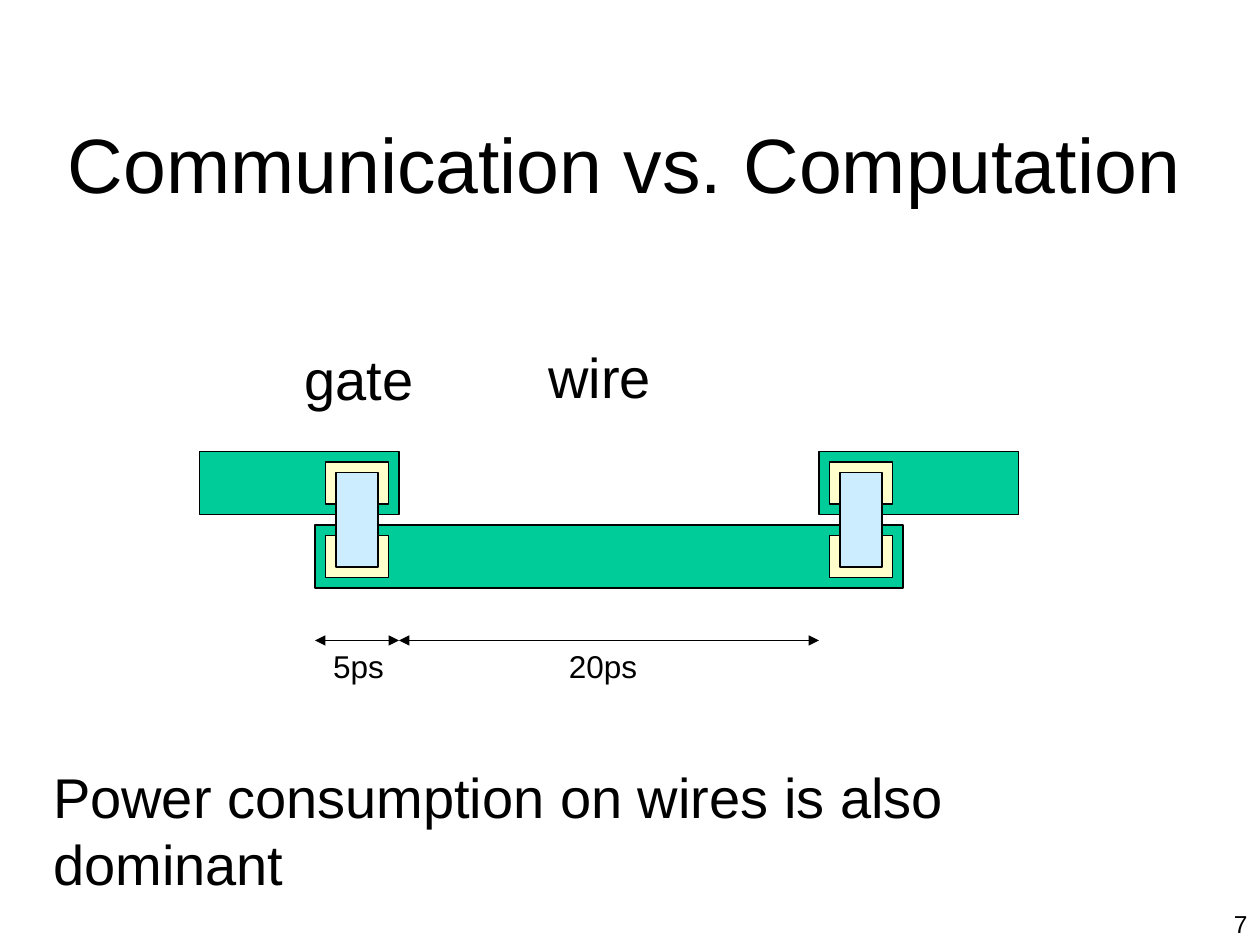
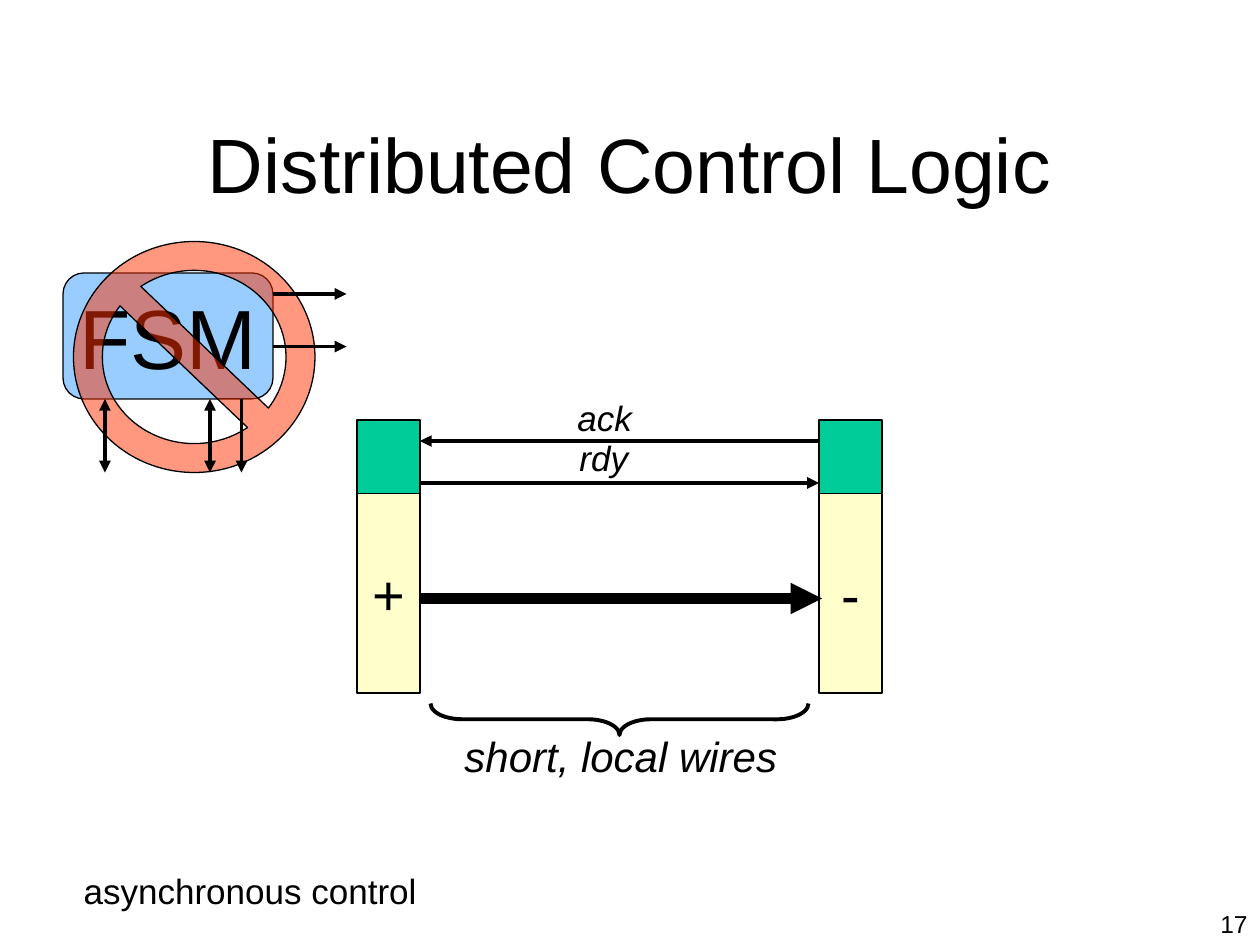
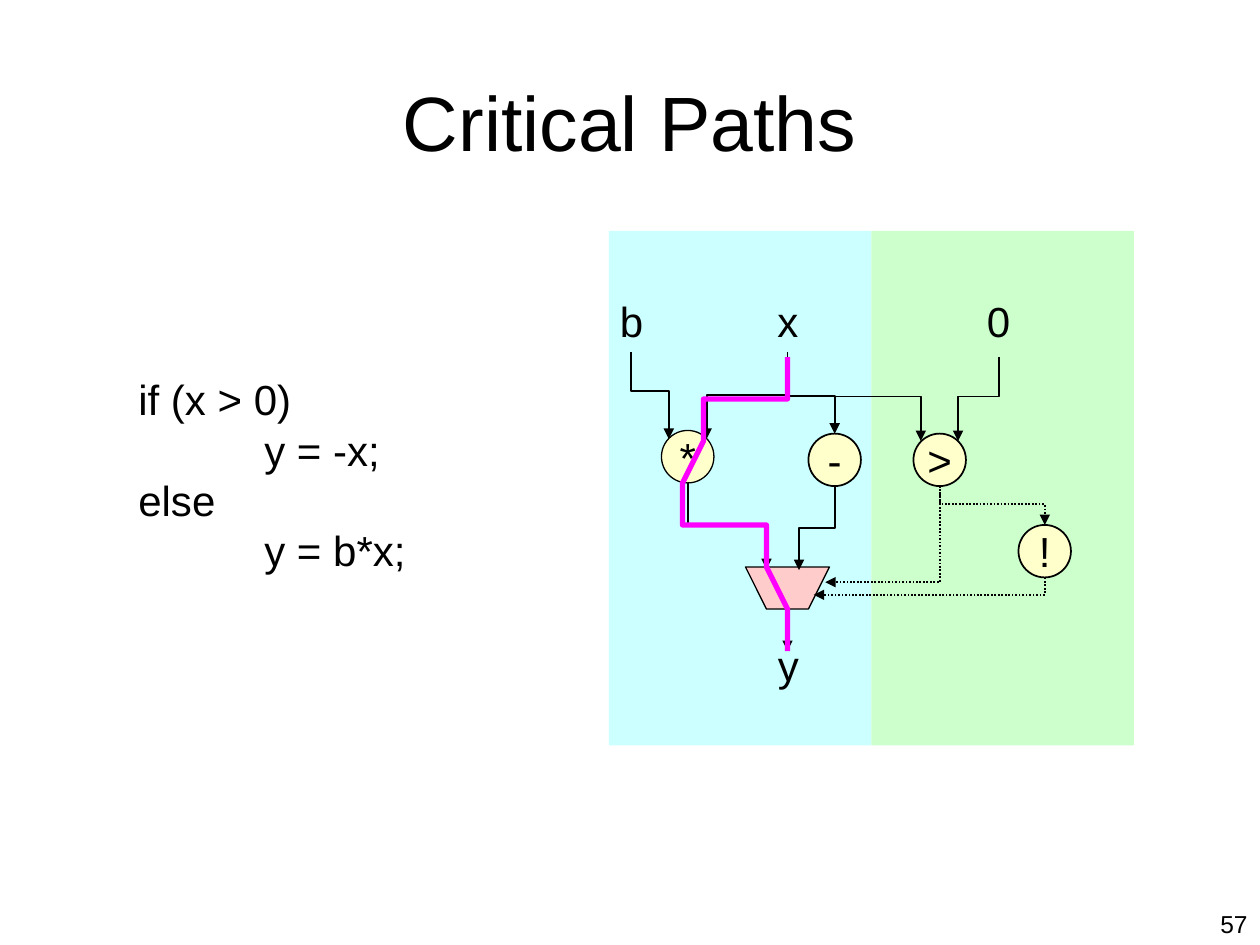
"""Build three slides on communication, distributed control and critical paths."""
from lxml import etree
from pptx import Presentation
from pptx import util as u
from pptx.dml.color import RGBColor
from pptx.enum import dml, shapes, text
from pptx.oxml.ns import qn

STEP_CM = 2.54 / 12
FONT = "Arial"
BLACK, GREEN, CREAM, SKY = "000000", "00CC99", "FFFFCC", "CCECFF"
BLUE, RED, PINK, MAGENTA = "99CCFF", "FF3300", "FFCCCC", "FF00FF"
AQUA, MINT = "CCFFFF", "CCFFCC"
RECT = shapes.MSO_SHAPE.RECTANGLE
LEFT, CENTER, RIGHT = text.PP_ALIGN.LEFT, text.PP_ALIGN.CENTER, text.PP_ALIGN.RIGHT

WIRES = [(19, 43, 19, 6), (30, 50, 56, 6), (78, 43, 19, 6)]
GATE_LEFTS = [31, 79]
DELAYS = [(30, 38), (38, 78)]
DELAY_TOP = 61
GATE_LABELS = [
    ("5ps", (30.55, 61, 7.2, 4.8), dict(size=18, align=CENTER)),
    ("20ps", (53, 61, 9.5, 4.8), dict(size=18)),
    ("gate", (27.8, 32.2, 14, 7.7), dict(size=32)),
    ("wire", (51.05, 32, 14, 7.7), dict(size=32)),
    ("Power consumption on wires is also dominant", (3.88, 72, 109, 7.7),
     dict(size=32, wrap=True)),
]

STAGES = [("+", 34), ("-", 78)]
HANDSHAKES = [((78, 42), (40, 42), 2.25), ((40, 46), (78, 46), 2.25),
              ((40, 57), (78.3, 57), 6)]
FSM_ARROWS = [((26, 28), (33, 28), False), ((26, 33), (33, 33), False),
              ((23, 38), (23, 45), False), ((20, 38), (20, 45), True),
              ((10, 38), (10, 45), True)]
CONTROL_LABELS = [
    ("ack", (53.8, 37.2, 9, 5.3), dict(size=20, italic=True)),
    ("rdy", (54, 41, 9, 5.3), dict(size=20, italic=True)),
    ("asynchronous control", (6.78, 82.2, 36, 5.3), dict(size=20)),
    ("short, local wires", (43.05, 69, 34, 6), dict(size=24, italic=True)),
]

PANELS = [(58, AQUA), (83, MINT)]
OPERATORS = [("*", 63, 41, 0.75), ("-", 77, 41.3, 1), (">", 87, 41.3, 1), ("!", 97, 50, 1)]
MUX = [(71, 54), (79, 54), (77, 58), (73, 58)]
CRITICAL_PATH = [(75, 34), (75, 38), (67, 38), (67, 42), (65, 46),
                 (65, 50), (73, 50), (73, 54), (75, 58), (75, 62)]
DATA_EDGES = [
    ((75, 33.5), (67.3, 41.8), 0.5), ((60.1, 33.5), (63.7, 41.8), 0.45),
    ((65.5, 46), (73, 54.2), 0.5), ((75, 34), (79.5, 41.3), 0.51),
    ((75, 34), (87.7, 42), 0.47), ((95.15, 34), (91.25, 42), 0.47),
    ((79.5, 46.3), (76.1, 54.3), 0.5),
]
PREDICATE_EDGES = [((89.5, 46.2), (99.5, 50), 0.48), ((99.5, 55), (77.5, 56.65), None),
                   ((89.5, 46.3), (78.6, 55.45), None)]
CIRCUIT_LABELS = [
    ("x", (72.85, 27.55, 4.5, 6), dict(size=24)),
    ("b", (57.85, 27.55, 4.8, 6), dict(size=24)),
    ("0", (92.8, 27.55, 4.8, 6), dict(size=24)),
    ("y", (72.9, 62, 4.5, 4.1), dict(size=24, line_spacing=0.6)),
    ("if (x > 0)\n\ty = -x;\nelse\n\ty = b*x;", (12, 35, 30, 20.4),
     dict(size=24, tab=12)),
]


def steps(*counts):
    return [u.Cm(count * STEP_CM) for count in counts]


def color(value):
    return RGBColor.from_string(value)


def write(shape, content, size, align=LEFT, italic=False, wrap=False,
          middle=False, line_spacing=None, tab=None):
    frame = shape.text_frame
    anchor = text.MSO_ANCHOR.MIDDLE if middle else text.MSO_ANCHOR.TOP
    frame_format = dict(word_wrap=wrap, vertical_anchor=anchor)
    for name, value in frame_format.items():
        setattr(frame, name, value)
    for index, line in enumerate(content.split("\n")):
        paragraph = frame.add_paragraph() if index else frame.paragraphs[0]
        paragraph.alignment = align
        if line_spacing:
            paragraph.line_spacing = line_spacing
        if tab:
            stops = etree.SubElement(paragraph._p.get_or_add_pPr(), qn("a:tabLst"))
            etree.SubElement(stops, qn("a:tab"), pos=str(steps(tab)[0]), algn="l")
        run = paragraph.add_run()
        run.text = line
        font_format = dict(name=FONT, size=u.Pt(size), italic=italic)
        for name, value in font_format.items():
            setattr(run.font, name, value)
        run.font.color.rgb = color(BLACK)


def add_label(slide, content, box, **style):
    write(slide.shapes.add_textbox(*steps(*box)), content, **style)


def paint(shape, fill=None, line=BLACK, width=0.75):
    shape.shadow.inherit = False
    if fill:
        shape.fill.solid()
        shape.fill.fore_color.rgb = color(fill)
    else:
        shape.fill.background()
    if line:
        shape.line.color.rgb = color(line)
        shape.line.width = u.Pt(width)
    else:
        shape.line.fill.background()
    return shape


def add_block(slide, kind, box, **look):
    return paint(slide.shapes.add_shape(kind, *steps(*box)), **look)


def add_outline(slide, points, close, **look):
    corners = [steps(*point) for point in points]
    builder = slide.shapes.build_freeform(*corners[0], scale=1.0)
    builder.add_line_segments(corners[1:], close=close)
    return paint(builder.convert_to_shape(), **look)


def finish_arrow(connector, width, double=False, dotted=False):
    connector.line.color.rgb = color(BLACK)
    connector.line.width = u.Pt(width)
    if dotted:
        connector.line.dash_style = dml.MSO_LINE.ROUND_DOT
    properties = connector._element.spPr
    line = properties.find(qn("a:ln"))
    for end in ("a:headEnd", "a:tailEnd") if double else ("a:tailEnd",):
        etree.SubElement(line, qn(end), type="triangle")
    etree.SubElement(properties, qn("a:effectLst"))


def add_arrow(slide, start, end, width=0.75, double=False):
    connector = slide.shapes.add_connector(
        shapes.MSO_CONNECTOR.STRAIGHT, *steps(*start, *end))
    finish_arrow(connector, width, double)


def add_elbow(slide, start, end, bend, dotted=False):
    (x1, y1), (x2, y2) = start, end
    center_x, center_y = (x1 + x2) / 2, (y1 + y2) / 2
    rightward = x2 > x1
    reach = (y1 - y2 if rightward else y2 - y1) / 2
    rise = abs(x2 - x1) / 2
    connector = slide.shapes.add_connector(
        shapes.MSO_CONNECTOR.ELBOW,
        *steps(center_x - reach, center_y - rise, center_x + reach, center_y + rise))
    properties = connector._element.spPr
    properties.find(qn("a:xfrm")).set("rot", str((270 if rightward else 90) * 60000))
    geometry = properties.find(qn("a:prstGeom"))
    if bend is None:
        geometry.set("prst", "bentConnector2")
    else:
        guides = geometry.find(qn("a:avLst"))
        etree.SubElement(guides, qn("a:gd"), name="adj1", fmla=f"val {round(bend * 100000)}")
    finish_arrow(connector, 1, dotted=dotted)


def start_slide(presentation, title, number, left=9, width=102, height=15):
    slide = presentation.slides.add_slide(presentation.slide_layouts[6])
    add_label(slide, title, (left, 8, width, height),
              size=44, align=CENTER, wrap=True, middle=True)
    add_label(slide, number, (114, 86, 6, 4), size=14, align=RIGHT, wrap=True)
    return slide


def add_labels(slide, labels):
    for content, box, style in labels:
        add_label(slide, content, box, **style)


def build_communication(presentation):
    slide = start_slide(presentation, "Communication vs. Computation", "7", 5, 109)
    for box in WIRES:
        add_block(slide, RECT, box, fill=GREEN)
    for left in GATE_LEFTS:
        for top in (51, 44):
            add_block(slide, RECT, (left, top, 6, 4), fill=CREAM)
        add_block(slide, RECT, (left + 1, 45, 4, 9), fill=SKY)
    for start, end in DELAYS:
        add_arrow(slide, (start, DELAY_TOP), (end, DELAY_TOP), double=True)
    add_labels(slide, GATE_LABELS)


def build_control(presentation):
    slide = start_slide(presentation, "Distributed Control Logic", "17")
    for symbol, left in STAGES:
        stage = add_block(slide, RECT, (left, 47, 6, 19), fill=CREAM)
        write(stage, symbol, 32, align=CENTER, middle=True)
        add_block(slide, RECT, (left, 40, 6, 7), fill=GREEN)
    for start, end, width in HANDSHAKES:
        add_arrow(slide, start, end, width)
    machine = add_block(slide, shapes.MSO_SHAPE.ROUNDED_RECTANGLE, (6, 26, 20, 12), fill=BLUE)
    write(machine, "FSM", 48, align=CENTER, middle=True)
    ban = add_block(slide, shapes.MSO_SHAPE.NO_SYMBOL, (7, 23, 23, 22), fill=RED)
    ban.adjustments[0] = 0.125
    tint = ban._element.spPr.find(qn("a:solidFill")).find(qn("a:srgbClr"))
    etree.SubElement(tint, qn("a:alpha"), val="50000")
    for start, end, double in FSM_ARROWS:
        add_arrow(slide, start, end, 2.25, double)
    brace = add_block(slide, shapes.MSO_SHAPE.RIGHT_BRACE, (57.5, 50.5, 3, 36), width=2.25)
    brace.rotation = 90
    brace.adjustments[0] = 1.0
    add_labels(slide, CONTROL_LABELS)


def build_paths(presentation):
    slide = start_slide(presentation, "Critical Paths", "57", height=7)
    for left, fill in PANELS:
        add_block(slide, RECT, (left, 22, 25, 49), fill=fill, line=None)
    add_outline(slide, MUX, True, fill=PINK)
    for symbol, left, top, width in OPERATORS:
        node = add_block(slide, shapes.MSO_SHAPE.OVAL, (left, top, 5, 5),
                         fill=CREAM, width=width)
        write(node, symbol, 24, align=CENTER, middle=True)
    for start, end, bend in DATA_EDGES:
        add_elbow(slide, start, end, bend)
    for start, end, bend in PREDICATE_EDGES:
        add_elbow(slide, start, end, bend, dotted=True)
    add_arrow(slide, (75, 58), (75, 62))
    add_labels(slide, CIRCUIT_LABELS)
    add_outline(slide, CRITICAL_PATH, False, line=MAGENTA, width=3)


def main():
    presentation = Presentation()
    presentation.slide_width, presentation.slide_height = u.Cm(25.4), u.Cm(19.05)
    build_communication(presentation)
    build_control(presentation)
    build_paths(presentation)
    presentation.save("out.pptx")


if __name__ == "__main__":
    main()
